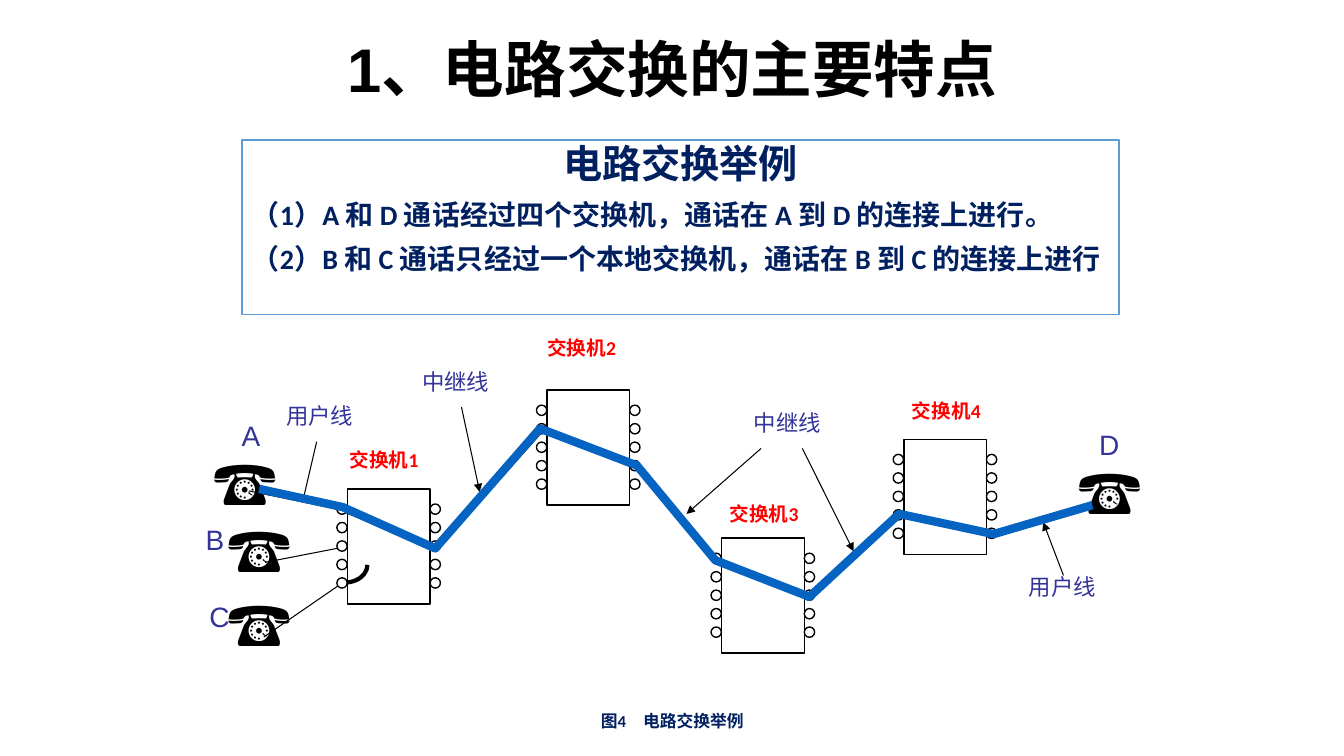
from lxml.etree import SubElement
from pptx import Presentation
from pptx.dml.color import RGBColor
from pptx.enum.shapes import MSO_CONNECTOR as Connector, MSO_SHAPE as Shape
from pptx.enum.text import MSO_ANCHOR as Anchor, MSO_AUTO_SIZE as AutoSize, PP_ALIGN as Align
from pptx.oxml.ns import qn
from pptx.util import Cm, Pt

COLORS = {"black": "000000", "white": "FFFFFF", "navy": "002060", "frame": "5B9BD5",
          "label": "333399", "switch": "FF0000", "circuit": "0563C1"}

# Switch: left, top, name, offset of the name from the switch corner
SWITCHES = [(8.76, 12.32, "交换机1", -0.2, -1.17), (13.79, 9.83, "交换机2", -0.25, -1.5),
            (18.19, 13.56, "交换机3", -0.05, -1.04), (22.78, 11.07, "交换机4", -0.05, -1.14)]
# Telephone: left, top, name, offset of the name from the telephone corner
PHONES = [(5.13, 11.07, "A", 0.71, -0.64), (5.49, 12.75, "B", -0.56, 0.3),
          (5.49, 14.61, "C", -0.46, 0.38), (26.92, 11.3, "D", 0.53, -0.66)]
SUBSCRIBER_LINES = [(6.65, 16.05, 8.64, 14.68), (6.68, 14.17, 8.64, 13.79),
                    (24.99, 13.49, 27.56, 12.7), (6.27, 12.37, 8.61, 12.85)]
TRUNK = [(8.59, 12.83), (11.02, 13.79), (13.67, 10.82), (16.05, 11.71),
         (18.03, 14.07), (20.42, 15.06), (22.68, 12.98), (25.04, 13.49)]
CIRCUIT = [(6.53, 12.32), (8.64, 12.78), (10.97, 13.82), (13.61, 10.8), (16.05, 11.73),
           (18.03, 14.12), (20.4, 15.04), (22.66, 12.95), (25.04, 13.46), (27.53, 12.73)]
# Callout: left, top, words, arrows
CALLOUTS = [(6.96, 10.01, "用户线", [(7.98, 11.13, 7.62, 12.67)]),
            (10.39, 9.14, "中继线", [(11.63, 10.26, 12.09, 12.4)]),
            (18.75, 10.19, "中继线", [(19.18, 11.3, 17.3, 12.95), (20.22, 11.3, 21.51, 13.89)]),
            (25.68, 14.33, "用户线", [(26.8, 14.5, 26.29, 13.16)])]


def rgb(name):
    return RGBColor.from_string(COLORS[name])


def style_text(para, size, color, font="Calibri", bold=False, align=Align.LEFT):
    para.alignment = align
    para.font.size = Pt(size)
    para.font.name = font
    para.font.bold = bold
    para.font.color.rgb = rgb(color)


def style_outline(shape, color, width, fill=None):
    shape.shadow.inherit = False
    shape.line.color.rgb = rgb(color)
    shape.line.width = Pt(width)
    if fill:
        shape.fill.solid()
        shape.fill.fore_color.rgb = rgb(fill)
    else:
        shape.fill.background()


def add_label(page, left, top, width, height, words, size, color, wrap=False, **style):
    box = page.shapes.add_textbox(Cm(left), Cm(top), Cm(width), Cm(height))
    box.text_frame.word_wrap = wrap
    box.text_frame.text = words
    style_text(box.text_frame.paragraphs[0], size, color, **style)
    return box


def add_outline(page, kind, left, top, width, height, color="black", line=1, fill=None):
    shape = page.shapes.add_shape(kind, Cm(left), Cm(top), Cm(width), Cm(height))
    style_outline(shape, color, line, fill)
    return shape


def add_line(page, x1, y1, x2, y2, arrow=False):
    line = page.shapes.add_connector(Connector.STRAIGHT, Cm(x1), Cm(y1), Cm(x2), Cm(y2))
    line.line.color.rgb = rgb("black")
    line.line.width = Pt(0.75)
    if arrow:
        SubElement(line.line._get_or_add_ln(), qn("a:tailEnd"), type="triangle")
    SubElement(line._element.spPr, qn("a:effectLst"))


def add_route(page, points, color, width):
    (x, y), *others = [(Cm(x), Cm(y)) for x, y in points]
    builder = page.shapes.build_freeform(x, y)
    builder.add_line_segments(others, close=False)
    style_outline(builder.convert_to_shape(), color, width)


def add_title(page, left, top, width, height):
    title = page.shapes.title
    title.left, title.top, title.width, title.height = Cm(left), Cm(top), Cm(width), Cm(height)
    frame = title.text_frame
    frame.text = "1、电路交换的主要特点"
    frame.auto_size = AutoSize.NONE
    frame.vertical_anchor = Anchor.MIDDLE
    frame.paragraphs[0].line_spacing = 0.9
    style_text(frame.paragraphs[0], 44, "black", "Arial", True, Align.CENTER)


def add_explanation(page, left, top, width, height):
    box = add_outline(page, Shape.RECTANGLE, left, top, width, height, "frame")
    frame = box.text_frame
    frame.word_wrap = True
    frame.vertical_anchor = Anchor.TOP
    frame.text = ("电路交换举例\n"
                  "（1）A 和 D 通话经过四个交换机，通话在 A 到 D 的连接上进行。\n"
                  "（2）B 和 C 通话只经过一个本地交换机，通话在 B 到 C 的连接上进行")
    heading, *points = frame.paragraphs
    style_text(heading, 28, "navy", bold=True, align=Align.CENTER)
    heading.line_spacing = 0.9
    for para in points:
        style_text(para, 20, "navy", bold=True)
        para.line_spacing = 0.9
        para.space_before = Pt(10)


def add_switch(page, left, top):
    width, height, port, ports = 2.08, 2.9, 0.26, 5
    add_outline(page, Shape.RECTANGLE, left, top, width, height)
    for x in (left - 0.27, left + width):
        for row in range(ports):
            add_outline(page, Shape.OVAL, x, top + 0.38 + 0.465 * row, port, port, fill="white")


def add_phone(page, left, top, name, shift_x, shift_y):
    add_label(page, left, top, 2.18, 2.11, "☎", 44, "black", font="Arial")
    add_label(page, left + shift_x, top + shift_y, 1, 1.09, name, 20, "label", font="Arial")


def add_local_loop(page, left, top, width, height):
    arc = add_outline(page, Shape.ARC, left, top, width, height, line=3)
    arc.adjustments[0] = -54  # a quarter turn either side of the right
    arc.adjustments[1] = 54


def add_network(page):
    # Lines beneath the switches
    add_local_loop(page, 8.12, 13.79, 1.14, 0.89)
    for ends in SUBSCRIBER_LINES:
        add_line(page, *ends)
    add_route(page, TRUNK, "black", 3)

    # Switches and telephones
    for left, top, *_ in SWITCHES:
        add_switch(page, left, top)
    for phone in PHONES:
        add_phone(page, *phone)

    # Callouts with arrows
    for left, top, words, arrows in CALLOUTS:
        add_label(page, left, top, 2.21, 0.94, words, 16, "label")
        for ends in arrows:
            add_line(page, *ends, arrow=True)

    # Circuit from A to D, with the switch names on top
    add_route(page, CIRCUIT, "circuit", 6)
    for left, top, name, shift_x, shift_y in SWITCHES:
        add_label(page, left + shift_x, top + shift_y, 2.24, 0.86, name, 14, "switch",
                  wrap=True, bold=True)


def main():
    deck = Presentation()
    deck.slide_width, deck.slide_height = Cm(33.87), Cm(19.05)
    page = deck.slides.add_slide(deck.slide_layouts[5])
    add_title(page, 5.54, 0.53, 22.81, 2.59)
    add_explanation(page, 6.1, 3.53, 22.1, 4.39)
    add_network(page)
    caption = add_label(page, 12.65, 17.65, 8.59, 1.02, "图4　电路交换举例", 12, "navy",
                        wrap=True, bold=True, align=Align.CENTER)
    caption.text_frame.vertical_anchor = Anchor.MIDDLE
    deck.save("out.pptx")


if __name__ == "__main__":
    main()
